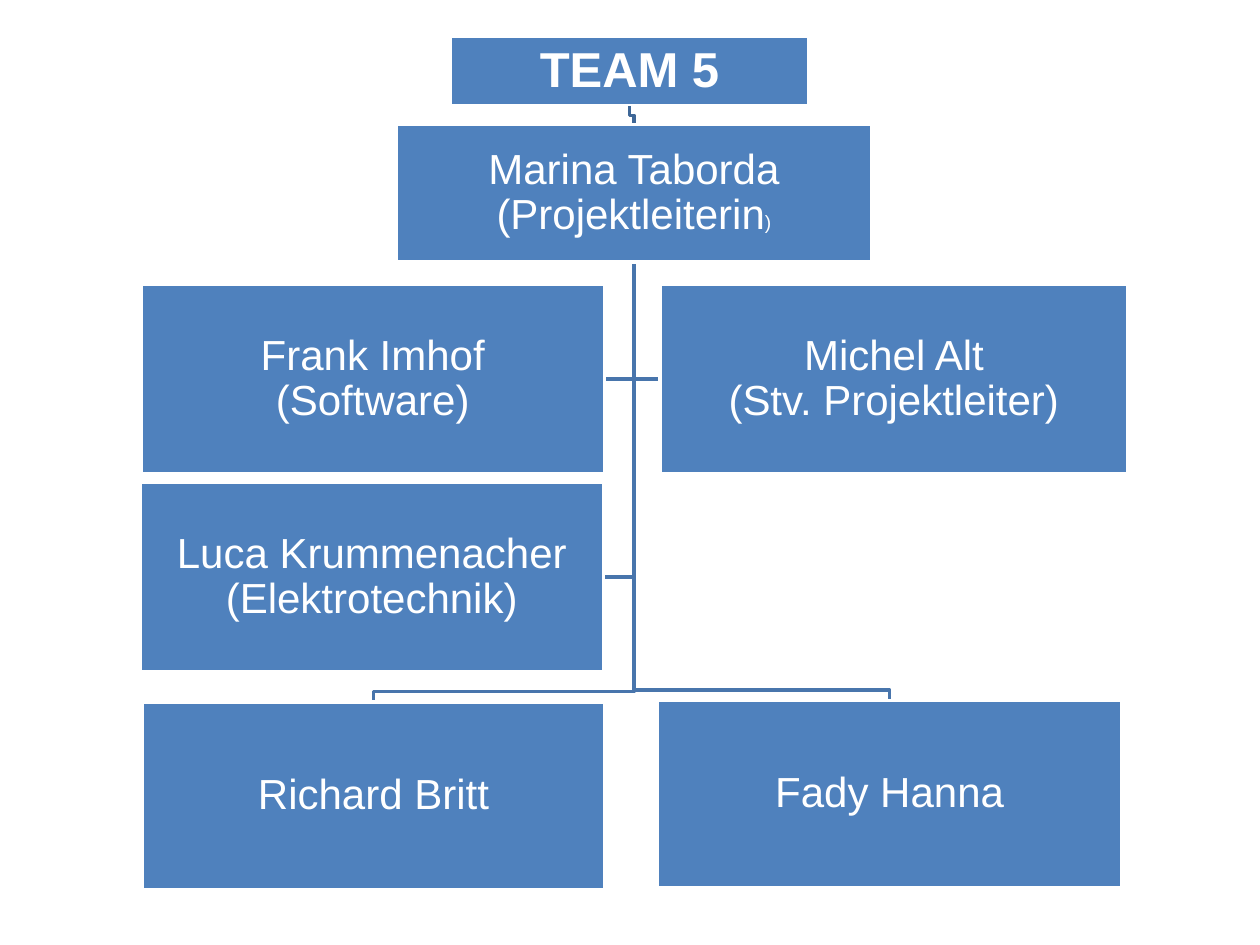
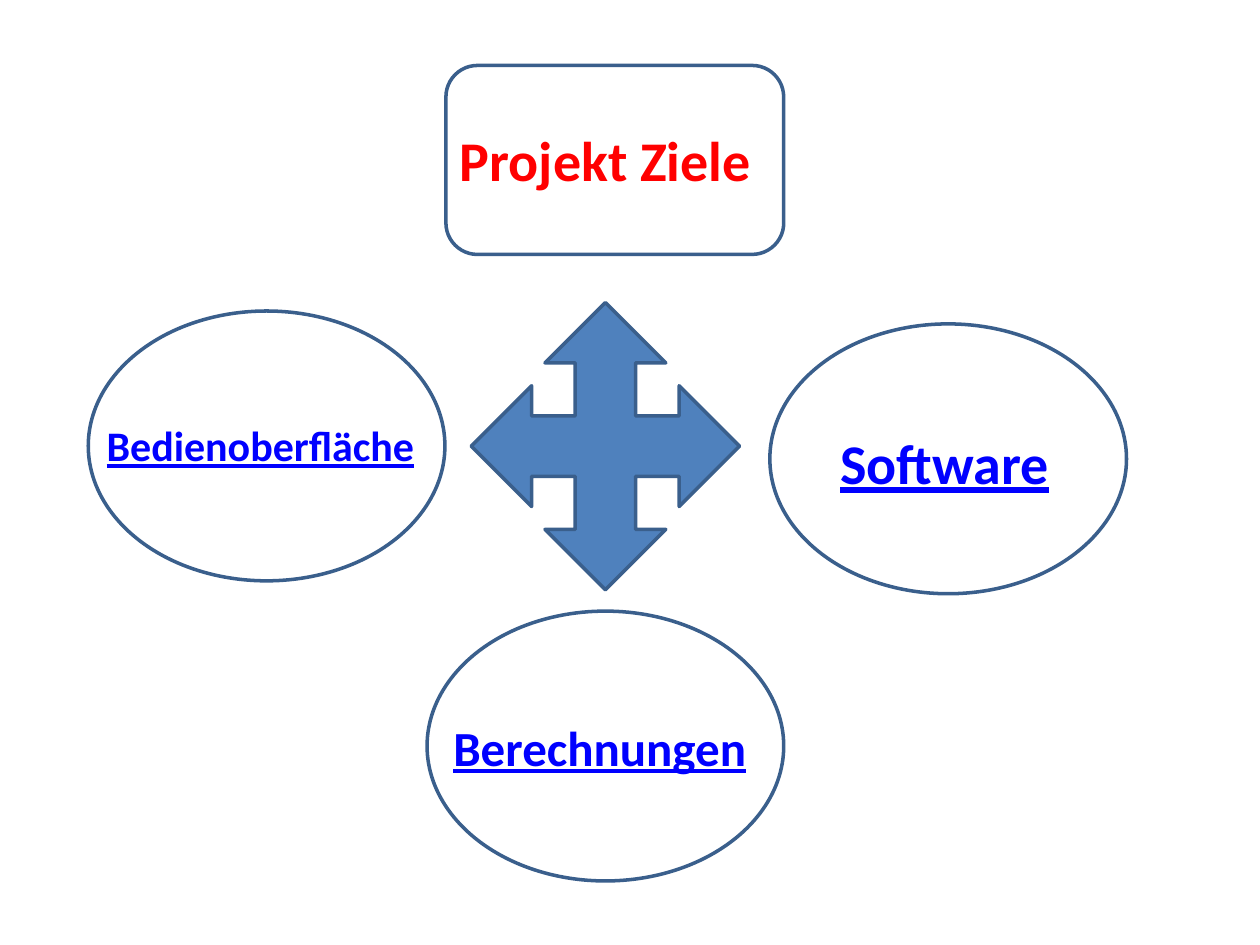
import pptx
import pptx.dml.color
import pptx.enum.shapes
import pptx.enum.text
import pptx.util
from pptx.util import Cm

SHAPES = pptx.enum.shapes.MSO_SHAPE
ALIGN = pptx.enum.text.PP_ALIGN
ANCHOR = pptx.enum.text.MSO_ANCHOR
AUTO_SIZE = pptx.enum.text.MSO_AUTO_SIZE

COLOURS = {
    "blue": "4F81BD",
    "edge": "3A5F8C",
    "branch": "4875AC",
    "stem": "3F6797",
    "white": "FFFFFF",
    "red": "FF0000",
    "label": "0000FF",
}
MARGIN = Cm(0.05)
CARD_FRAME = {
    "margin_left": MARGIN, "margin_right": MARGIN,
    "margin_top": MARGIN, "margin_bottom": MARGIN,
    "vertical_anchor": ANCHOR.MIDDLE, "word_wrap": True,
    "auto_size": AUTO_SIZE.NONE,
}
LABEL_FRAME = {
    "vertical_anchor": ANCHOR.TOP, "word_wrap": False,
    "auto_size": AUTO_SIZE.SHAPE_TO_FIT_TEXT,
}
CARD_PARA = {"alignment": ALIGN.CENTER, "line_spacing": 0.9}


def set_format(target, values):
    for name, value in values.items():
        setattr(target, name, value)


def colour(name):
    return pptx.dml.color.RGBColor.from_string(COLOURS[name])


class Builder:
    line_width = pptx.util.Pt(2)

    def __init__(self):
        self.deck = pptx.Presentation()
        set_format(self.deck, {"slide_width": Cm(25.4), "slide_height": Cm(19.05)})
        self.page = None

    def new_page(self):
        self.page = self.deck.slides.add_slide(self.deck.slide_layouts[5])

    def paint(self, box, fill, line):
        if fill:
            box.fill.solid()
            box.fill.fore_color.rgb = colour(fill)
        else:
            box.fill.background()
        box.line.color.rgb = colour(line)
        box.line.width = self.line_width

    def add_text(self, box, text, frame, para_format, ink, font, size, tail=None):
        set_format(box.text_frame, frame)
        para = box.text_frame.paragraphs[0]
        set_format(para, para_format)
        pieces = [(line, size) for line in text.split("\n")]
        if tail:
            pieces.append(tail)
        for index, (piece, points) in enumerate(pieces):
            if 0 < index <= text.count("\n"):
                para.add_line_break()
            span = para.add_run()
            span.text = piece
            set_format(span.font, {"size": pptx.util.Pt(points), **font})
            span.font.color.rgb = colour(ink)

    def title(self, place):
        box = self.page.shapes.title
        set_format(box, dict(zip(("left", "top", "width", "height"), map(Cm, place))))
        return box

    def shape(self, kind, place, fill=None, line="edge"):
        box = self.page.shapes.add_shape(kind, *map(Cm, place))
        box.shadow.inherit = False
        self.paint(box, fill, line)
        return box

    def card(self, text, place, tail=None):
        box = self.shape(SHAPES.RECTANGLE, place, "blue", "white")
        self.add_text(box, text, CARD_FRAME, CARD_PARA, "white", {"name": "Arial"}, 24, tail)

    def label(self, text, place, size):
        box = self.page.shapes.add_textbox(*map(Cm, place))
        font = {"name": "Calibri", "bold": True, "underline": True}
        self.add_text(box, text, LABEL_FRAME, {"alignment": ALIGN.LEFT}, "label", font, size)

    def branch(self, points, line="branch"):
        corners = [(Cm(x), Cm(y)) for x, y in points]
        outline = self.page.shapes.build_freeform(*corners[0])
        outline.add_line_segments(corners[1:], close=False)
        box = outline.convert_to_shape()
        box.shadow.inherit = False
        self.paint(box, None, line)


def team_page(builder):
    builder.new_page()
    team = (9.07, 0.74, 7.24, 1.4)
    leader = (7.98, 2.51, 9.6, 2.77)
    sides = [
        ("Frank Imhof\n(Software)", (2.84, 5.74, 9.35, 3.81)),
        ("Michel Alt\n(Stv. Projektleiter)", (13.31, 5.74, 9.42, 3.81)),
        ("Luca Krummenacher\n(Elektrotechnik)", (2.82, 9.73, 9.35, 3.81)),
    ]
    members = [
        ("Richard Britt", (2.87, 14.15, 9.32, 3.78)),
        ("Fady Hanna", (13.26, 14.12, 9.35, 3.78)),
    ]
    trunk = leader[0] + leader[2] / 2
    start = (trunk, leader[1] + leader[3])
    for _, (left, top, width, height) in sides:
        middle = top + height / 2
        near_edge = left if left > trunk else left + width
        builder.branch([start, (trunk, middle), (near_edge, middle)])
    for _, (left, top, width, _) in members:
        center, bar = left + width / 2, top - 0.21
        builder.branch([start, (trunk, bar), (center, bar), (center, top)])

    center, bottom = team[0] + team[2] / 2, team[1] + team[3]
    bend = (bottom + leader[1]) / 2
    builder.branch([(center, bottom), (center, bend), (trunk, bend), (trunk, leader[1])], "stem")

    box = builder.title(team)
    builder.paint(box, "blue", "white")
    builder.add_text(box, "TEAM 5", CARD_FRAME, CARD_PARA, "white",
                     {"name": "Arial", "bold": True}, 28)
    builder.card("Marina Taborda\n(Projektleiterin", leader, (")", 11))
    for text, place in members + sides:
        builder.card(text, place)


def goals_page(builder):
    builder.new_page()
    builder.shape(SHAPES.QUAD_ARROW, (9.5, 6.1, 5.41, 5.79), "blue")
    builder.shape(SHAPES.ROUNDED_RECTANGLE, (8.99, 1.32, 6.81, 3.81))
    builder.add_text(builder.title((8.99, 2.41, 6.43, 1.63)), "Projekt Ziele", LABEL_FRAME,
                     {"alignment": ALIGN.CENTER}, "red", {"name": "Calibri", "bold": True}, 32)
    goals = [
        ("Berechnungen", 28, (8.61, 12.32), (8.89, 14.33, 6.48, 1.45)),
        ("Bedienoberfläche", 24, (1.78, 6.27), (1.9, 8.33, 6.78, 1.27)),
        ("Software", 32, (15.52, 6.53), (16.69, 8.51, 4.8, 1.63)),
    ]
    for text, size, corner, place in goals:
        builder.shape(SHAPES.OVAL, (*corner, 7.19, 5.44))
        builder.label(text, place, size)


def main():
    builder = Builder()
    team_page(builder)
    goals_page(builder)
    builder.deck.save("out.pptx")


if __name__ == "__main__":
    main()
